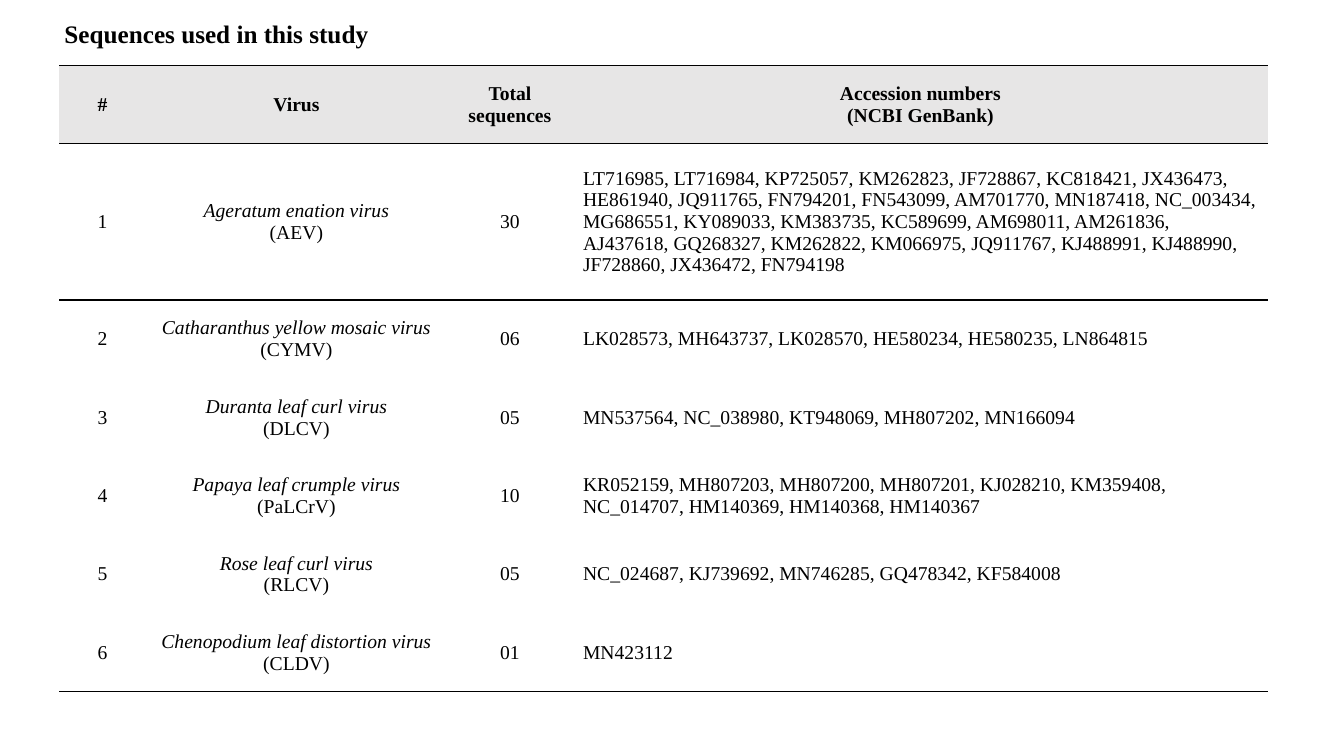
import pptx
import pptx.util
import pptx.dml.color
import pptx.enum.text
import lxml.etree

Pt = pptx.util.Pt
BLACK = pptx.dml.color.RGBColor(0x00, 0x00, 0x00)
HEADER_GRAY = pptx.dml.color.RGBColor(0xE7, 0xE6, 0xE6)
FONT = "Times New Roman"
CENTER = pptx.enum.text.PP_ALIGN.CENTER
LEFT = pptx.enum.text.PP_ALIGN.LEFT
NS = "http://schemas.openxmlformats.org/drawingml/2006/main"
NO_STYLE = "{2D5ABB26-0587-4C30-8999-92F81FD0307C}"

HEADER = ["#", "Virus", "Total sequences", "Accession numbers\n(NCBI GenBank)"]
VIRUSES = [
    ("Ageratum enation virus", "AEV", "30",
     "LT716985, LT716984, KP725057, KM262823, JF728867, KC818421, JX436473, "
     "HE861940, JQ911765, FN794201, FN543099, AM701770, MN187418, NC_003434, "
     "MG686551, KY089033, KM383735, KC589699, AM698011, AM261836, AJ437618, "
     "GQ268327, KM262822, KM066975, JQ911767, KJ488991, KJ488990, JF728860, "
     "JX436472, FN794198"),
    ("Catharanthus yellow mosaic virus", "CYMV", "06",
     "LK028573, MH643737, LK028570, HE580234, HE580235, LN864815"),
    ("Duranta leaf curl virus", "DLCV", "05",
     "MN537564, NC_038980, KT948069, MH807202, MN166094"),
    ("Papaya leaf crumple virus", "PaLCrV", "10",
     "KR052159, MH807203, MH807200, MH807201, KJ028210, KM359408, "
     "NC_014707, HM140369, HM140368, HM140367"),
    ("Rose leaf curl virus", "RLCV", "05",
     "NC_024687, KJ739692, MN746285, GQ478342, KF584008"),
    ("Chenopodium leaf distortion virus", "CLDV", "01", "MN423112"),
]


def add_run(p, text, size, bold=False, italic=False):
    r = p.add_run()
    r.text = text
    r.font.name = FONT
    r.font.size = Pt(size)
    r.font.bold = bold
    r.font.italic = italic
    r.font.color.rgb = BLACK


def add_border(cell, side):
    ln = lxml.etree.SubElement(cell._tc.get_or_add_tcPr(), f"{{{NS}}}{side}", w=str(Pt(1)))
    fill = lxml.etree.SubElement(ln, f"{{{NS}}}solidFill")
    lxml.etree.SubElement(fill, f"{{{NS}}}srgbClr", val=str(BLACK))


prs = pptx.Presentation()
prs.slide_width = Pt(960)
prs.slide_height = Pt(540)
s = prs.slides.add_slide(prs.slide_layouts[6])

rows = [HEADER]
for number, (virus, acronym, total, accessions) in enumerate(VIRUSES, 1):
    rows.append([str(number), f"{virus}\n({acronym})", total, accessions])

col_widths = [62, 215, 90, 496.5]
row_heights = [56, 111.5] + [56] * 5
table = s.shapes.add_table(len(rows), len(HEADER), Pt(42.3), Pt(46.8),
                           Pt(sum(col_widths)), Pt(sum(row_heights))).table
table.first_row = False
table.horz_banding = False
table._tbl.tblPr.find(f"{{{NS}}}tableStyleId").text = NO_STYLE
for col, width in zip(table.columns, col_widths):
    col.width = Pt(width)
for row, height in zip(table.rows, row_heights):
    row.height = Pt(height)

for i, texts in enumerate(rows):
    is_header = i == 0
    for j, text in enumerate(texts):
        cell = table.cell(i, j)
        cell.vertical_anchor = pptx.enum.text.MSO_ANCHOR.MIDDLE
        if i < 2:
            add_border(cell, "lnT")
        if is_header or i == len(rows) - 1:
            add_border(cell, "lnB")
        if is_header:
            cell.fill.solid()
            cell.fill.fore_color.rgb = HEADER_GRAY
        else:
            cell.fill.background()
        tf = cell.text_frame
        for k, line in enumerate(text.split("\n")):
            p = tf.add_paragraph() if k else tf.paragraphs[0]
            p.alignment = LEFT if j == 3 and not is_header else CENTER
            add_run(p, line, 14, bold=is_header, italic=not is_header and j == 1 and k == 0)

title = s.shapes.add_textbox(Pt(39), Pt(9.5), Pt(304), Pt(29))
tf = title.text_frame
tf.word_wrap = True
tf.auto_size = pptx.enum.text.MSO_AUTO_SIZE.SHAPE_TO_FIT_TEXT
add_run(tf.paragraphs[0], "Sequences used in this study", 18, bold=True)

prs.save("out.pptx")
